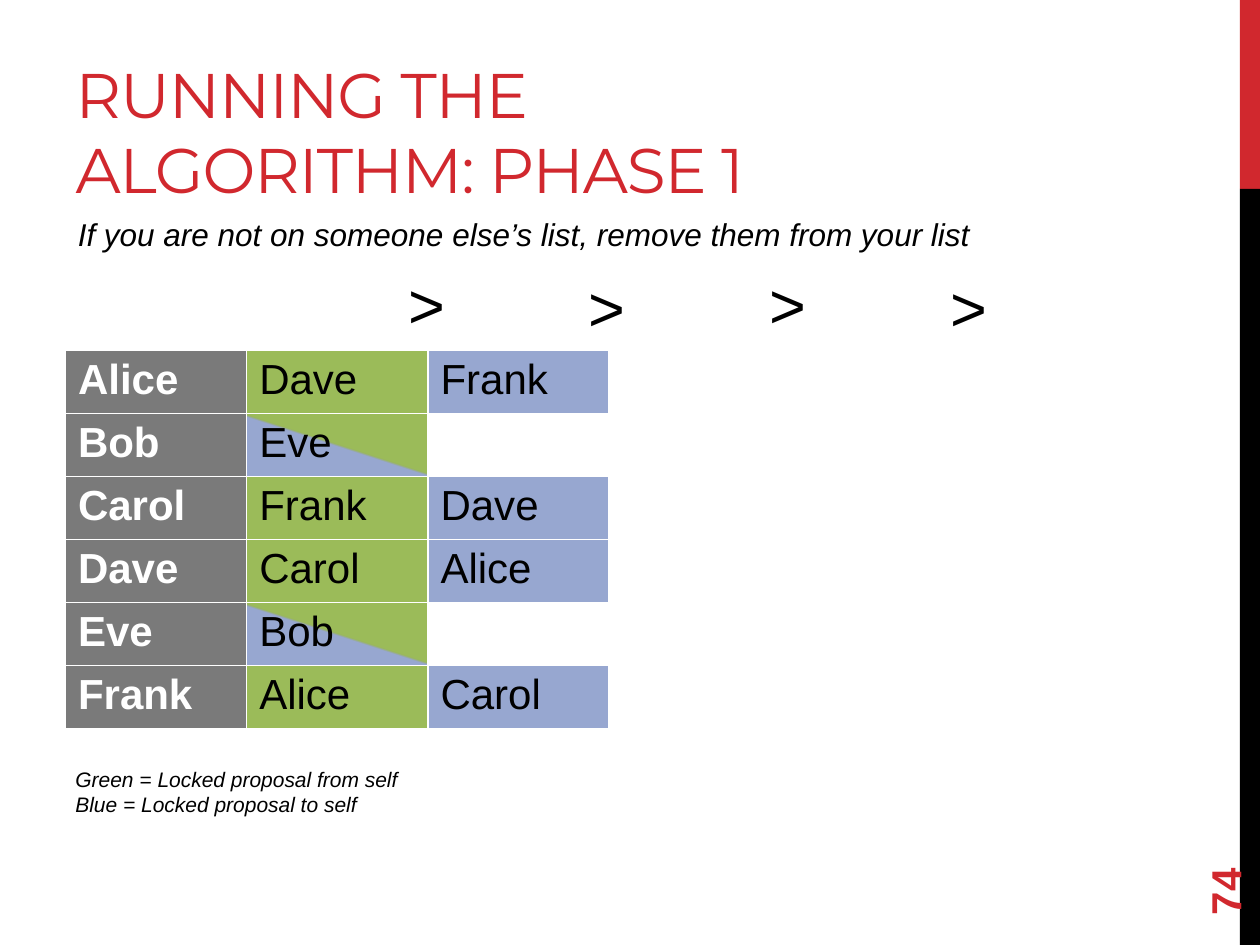
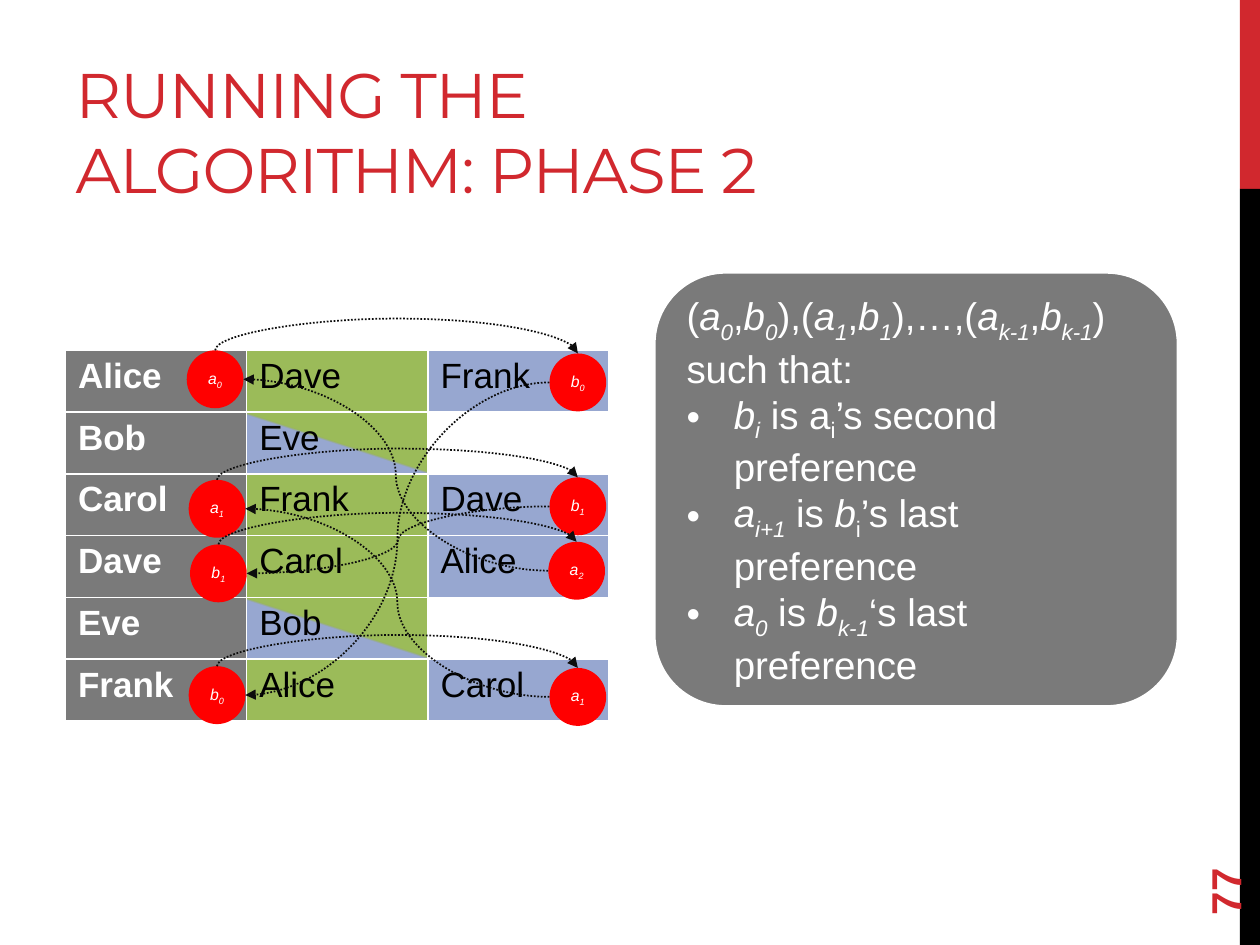
from pptx import Presentation
from pptx.dml.color import RGBColor
from pptx.enum import dml, shapes, text
from pptx.oxml import parse_xml
from pptx.oxml.ns import nsdecls, qn
from pptx.util import Pt

RED = RGBColor(0xD1, 0x28, 0x2E)
BRIGHT_RED = RGBColor(0xFF, 0x00, 0x00)
BLACK = RGBColor(0x00, 0x00, 0x00)
NEAR_BLACK = RGBColor(0x0D, 0x0D, 0x0D)
WHITE = RGBColor(0xFF, 0xFF, 0xFF)
GREY = RGBColor(0x7A, 0x7A, 0x7A)
GREEN = RGBColor(0x9B, 0xBB, 0x59)
BLUE = RGBColor(0x97, 0xA7, 0xD0)

TITLE_ONLY = 5
PREFERENCES = [
    ("Alice", "Dave", "Frank"),
    ("Bob", "Eve"),
    ("Carol", "Frank", "Dave"),
    ("Dave", "Carol", "Alice"),
    ("Eve", "Bob"),
    ("Frank", "Alice", "Carol"),
]
COLUMNS = 6
TABLE_LEFT, TABLE_TOP, COLUMN_WIDTH, ROW_HEIGHT = 37.4, 200.2, 103.6, 35.3
CIRCLE_WIDTH, CIRCLE_HEIGHT = 32.4, 33.1
ARC_RISE = 18


def write(paragraph, content, size=18, color=BLACK, bold=False, italic=False,
          font="Arial", align=None, spacing=None):
    """Add text, or (text, flags) pieces: i is italic, s is subscript."""
    paragraph.alignment = align
    pieces = [(content, "i" if italic else "")] if isinstance(content, str) else content
    for piece, flags in pieces:
        run = paragraph.add_run()
        run.text = piece
        run.font.name = font
        run.font.size = Pt(size)
        run.font.bold = bold
        run.font.italic = "i" in flags
        run.font.color.rgb = color
        properties = run._r.get_or_add_rPr()
        if "s" in flags:
            properties.set("baseline", "-25000")
        if spacing is not None:
            properties.set("spc", str(round(spacing * 100)))


def term(letter, index, index_flags="is"):
    return [(letter, "i"), (index, index_flags)]


def add_bullet(paragraph, indent):
    properties = paragraph._p.get_or_add_pPr()
    properties.set("marL", str(Pt(indent)))
    properties.set("indent", str(-Pt(indent)))
    properties.append(parse_xml(f'<a:buFont {nsdecls("a")} typeface="Arial"/>'))
    properties.append(parse_xml(f'<a:buChar {nsdecls("a")} char="•"/>'))


class Deck:
    def __init__(self):
        self.presentation = Presentation()
        self.presentation.slide_width = Pt(720)
        self.presentation.slide_height = Pt(540)
        self.slide = None

    def add_slide(self, title, number):
        layout = self.presentation.slide_layouts[TITLE_ONLY]
        self.slide = self.presentation.slides.add_slide(layout)
        self.shape(shapes.MSO_SHAPE.RECTANGLE, 708.5, 0, 11.5, 108, RED)
        self.shape(shapes.MSO_SHAPE.RECTANGLE, 708.5, 108, 11.5, 432, BLACK)
        self.title(title)
        box = self.text_box([number], 648, 463.7, 103.7, 28.8,
                            size=24, color=RED, bold=True)
        box.rotation = 270
        box.text_frame.vertical_anchor = text.MSO_ANCHOR.MIDDLE

    def title(self, content):
        shape = self.slide.shapes.title
        shape.left, shape.top, shape.width, shape.height = map(Pt, (36, 12, 456, 108))
        frame = shape.text_frame
        frame.auto_size = text.MSO_AUTO_SIZE.NONE
        frame.vertical_anchor = text.MSO_ANCHOR.BOTTOM
        frame.margin_bottom = Pt(2)
        write(frame.paragraphs[0], content, size=36, color=RED, font="Montserrat",
              align=text.PP_ALIGN.LEFT, spacing=-0.6)

    def shape(self, kind, left, top, width, height, fill, line=None, line_width=1):
        shape = self.slide.shapes.add_shape(kind, *map(Pt, (left, top, width, height)))
        shape.shadow.inherit = False
        shape.fill.solid()
        shape.fill.fore_color.rgb = fill
        if line is None:
            shape.line.fill.background()
        else:
            shape.line.color.rgb = line
            shape.line.width = Pt(line_width)
        shape.text_frame.vertical_anchor = text.MSO_ANCHOR.MIDDLE
        return shape

    def text_box(self, lines, left, top, width, height, **style):
        box = self.slide.shapes.add_textbox(*map(Pt, (left, top, width, height)))
        frame = box.text_frame
        frame.word_wrap = True
        for index, line in enumerate(lines):
            paragraph = frame.add_paragraph() if index else frame.paragraphs[0]
            write(paragraph, line, **style)
        return box

    def preference_table(self, size):
        frame = self.slide.shapes.add_table(
            len(PREFERENCES), COLUMNS, Pt(TABLE_LEFT), Pt(TABLE_TOP),
            Pt(COLUMN_WIDTH * COLUMNS), Pt(ROW_HEIGHT * len(PREFERENCES)))
        table = frame.table
        table.first_row = table.horz_banding = False
        for column in table.columns:
            column.width = Pt(COLUMN_WIDTH)
        for row, names in enumerate(PREFERENCES):
            table.rows[row].height = Pt(ROW_HEIGHT)
            for column in range(COLUMNS):
                cell = table.cell(row, column)
                self.border(cell)
                self.fill_cell(cell, column, len(names))
                if column < len(names):
                    heading = column == 0
                    write(cell.text_frame.paragraphs[0], names[column], size=size,
                          color=WHITE if heading else BLACK, bold=heading)

    @staticmethod
    def fill_cell(cell, column, used):
        """A person with one choice left holds both locks in that cell."""
        if column == 1 and used == 2:
            cell.fill.gradient()
            cell.fill.gradient_angle = 72
            for stop, position, color in zip(cell.fill.gradient_stops,
                                             (0.49, 0.51), (BLUE, GREEN)):
                stop.position = position
                stop.color.rgb = color
        else:
            cell.fill.solid()
            cell.fill.fore_color.rgb = (GREY, GREEN, BLUE)[column] if column < used else WHITE

    @staticmethod
    def border(cell):
        properties = cell._tc.get_or_add_tcPr()
        for side in "LRTB":
            properties.append(parse_xml(
                f'<a:ln{side} {nsdecls("a")} w="{Pt(1)}"><a:solidFill>'
                f'<a:srgbClr val="{WHITE}"/></a:solidFill></a:ln{side}>'))

    def circle(self, label, left, top):
        shape = self.shape(shapes.MSO_SHAPE.OVAL, left, top,
                           CIRCLE_WIDTH, CIRCLE_HEIGHT, BRIGHT_RED)
        write(shape.text_frame.paragraphs[0], term(*label), size=9, color=WHITE,
              align=text.PP_ALIGN.CENTER)

    def curve(self, start_x, start_y, end_x, end_y):
        """Dotted S-shaped arrow that leaves and arrives horizontally."""
        connector = self.slide.shapes.add_connector(
            shapes.MSO_CONNECTOR.CURVE, *map(Pt, (start_x, start_y, end_x, end_y)))
        line = connector.line
        line.color.rgb = NEAR_BLACK
        line.width = Pt(1)
        line.dash_style = dml.MSO_LINE.ROUND_DOT
        line._get_or_add_ln().append(
            parse_xml(f'<a:tailEnd {nsdecls("a")} type="triangle"/>'))
        connector._element.spPr.append(parse_xml(f'<a:effectLst {nsdecls("a")}/>'))
        return connector

    def arc(self, start_x, start_y, end_x, end_y):
        """Dotted arrow that rises above both ends: a curve turned by 90 degrees."""
        drop = end_y - start_y
        center_x, center_y = (start_x + end_x) / 2, (start_y + end_y) / 2
        half_width = abs(drop) / 2
        half_height = (end_x - start_x) / 2 * (1 if drop > 0 else -1)
        connector = self.curve(center_x + half_width, center_y - half_height,
                               center_x - half_width, center_y + half_height)
        properties = connector._element.spPr
        properties.find(qn("a:xfrm")).set("rot", str((270 if drop > 0 else 90) * 60000))
        bend = round(-ARC_RISE / drop * 100000)
        guides = properties.find(qn("a:prstGeom")).find(qn("a:avLst"))
        guides.append(parse_xml(f'<a:gd {nsdecls("a")} name="adj1" fmla="val {bend}"/>'))

    def definition_panel(self, paragraphs):
        """Rounded panel: an opening paragraph, then bullets."""
        panel = self.shape(shapes.MSO_SHAPE.ROUNDED_RECTANGLE, 373, 154.8, 301, 249.8,
                           GREY, WHITE, 3.25)
        frame = panel.text_frame
        for index, pieces in enumerate(paragraphs):
            paragraph = frame.add_paragraph() if index else frame.paragraphs[0]
            if index:
                add_bullet(paragraph, 27)
            write(paragraph, pieces, size=22, color=WHITE, align=text.PP_ALIGN.LEFT)


def phase_one(deck):
    deck.add_slide("RUNNING THE ALGORITHM: PHASE 1", "74")
    deck.preference_table(24)
    for index in range(4):
        deck.text_box([">"], 219.6 + index * 103.3, 148.3 + index % 2 * 1.5, 48.2, 51,
                      size=36, align=text.PP_ALIGN.CENTER)
    deck.text_box(["If you are not on someone else’s list, remove them from your list"],
                  37.4, 119.5, 540, 29, size=18, italic=True)
    deck.text_box(["Green = Locked proposal from self", "Blue = Locked proposal to self"],
                  36, 434.2, 540, 36, size=12, italic=True)


def phase_two(deck):
    deck.add_slide("RUNNING THE ALGORITHM: PHASE 2", "77")
    deck.preference_table(20)

    opening = [("(", "")]
    for index, separator in (("0", "),("), ("1", "),…,("), ("k-1", ") such that:")):
        opening += term("a", index) + [(",", "")] + term("b", index) + [(separator, "")]
    deck.definition_panel([
        opening,
        term("b", "i") + [(" is a", ""), ("i", "s"), ("’s second preference", "")],
        term("a", "i+1") + [(" is ", "")] + term("b", "i", "s") + [("’s last preference", "")],
        term("a", "0") + [(" is ", "")] + term("b", "k-1") + [("‘s last preference", "")],
    ])

    holders = [("a0", 106.7, 200.2), ("a1", 107.8, 274.2),
               ("b1", 108.6, 311.1), ("b0", 107.8, 380.7)]
    choices = [("b0", 314, 202), ("b1", 314, 272.8),
               ("a2", 313.3, 309.6), ("a1", 314, 381.7)]
    for holder, choice in zip(holders, choices):
        deck.circle(*holder)
        deck.circle(*choice)
        deck.arc(holder[1] + CIRCLE_WIDTH / 2, holder[2],
                 choice[1] + CIRCLE_WIDTH / 2, choice[2])

    holder_places = {label: (left, top) for label, left, top in holders}
    for label, left, top in choices:
        holder_left, holder_top = holder_places["a0" if label == "a2" else label]
        deck.curve(left, top + CIRCLE_HEIGHT / 2,
                   holder_left + CIRCLE_WIDTH, holder_top + CIRCLE_HEIGHT / 2)


def main():
    deck = Deck()
    phase_one(deck)
    phase_two(deck)
    deck.presentation.save("out.pptx")


if __name__ == "__main__":
    main()
